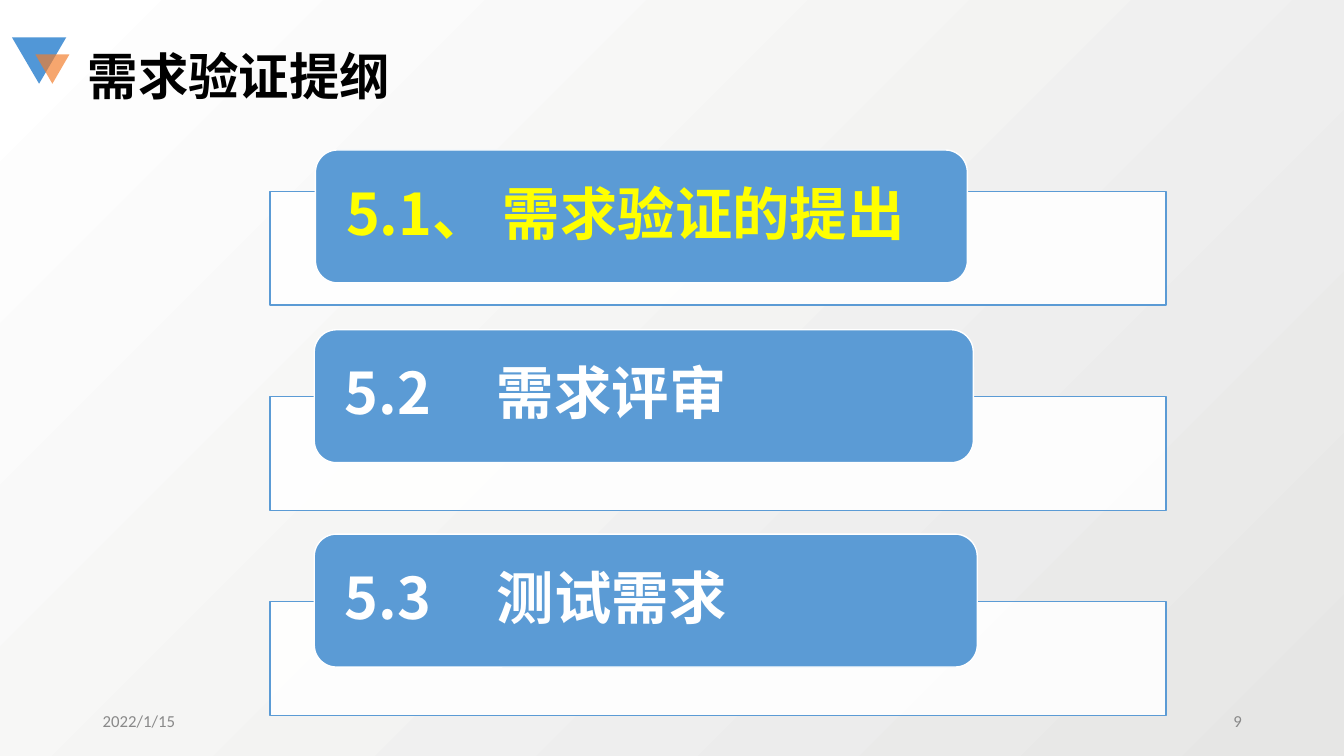
"""Build the outline slide for requirements verification."""
from lxml import etree
from pptx import Presentation
from pptx.dml.color import RGBColor
from pptx.enum.shapes import MSO_SHAPE
from pptx.enum.text import MSO_ANCHOR, PP_ALIGN
from pptx.oxml.ns import qn
from pptx.util import Cm, Pt

TRIANGLE = MSO_SHAPE.ISOSCELES_TRIANGLE
RECTANGLE = MSO_SHAPE.RECTANGLE
ROUNDED = MSO_SHAPE.ROUNDED_RECTANGLE
TOP, MIDDLE = MSO_ANCHOR.TOP, MSO_ANCHOR.MIDDLE
LEFT, RIGHT = PP_ALIGN.LEFT, PP_ALIGN.RIGHT
CJK, LATIN = "Noto Sans CJK SC", "Calibri"
BLUE, WHITE, YELLOW, GREY = "5B9BD5", "FFFFFF", "FFFF00", "898989"


def color(value):
    return RGBColor.from_string(value)


class SlideBuilder:
    def __init__(self, page):
        self.page = page

    def background(self, start, end, angle):
        fill = self.page.background.fill
        fill.gradient()
        fill.gradient_angle = angle
        for stop, value, position in zip(fill.gradient_stops, (start, end), (0, 1)):
            stop.color.rgb = color(value)
            stop.position = position

    def shape(self, kind, left, top, width, height, fill, line=None, opacity=100, rotation=0):
        shape = self.page.shapes.add_shape(kind, Cm(left), Cm(top), Cm(width), Cm(height))
        shape.shadow.inherit = False
        shape.rotation = rotation
        shape.fill.solid()
        shape.fill.fore_color.rgb = color(fill)
        if opacity < 100:
            value = shape.fill._xPr.find(qn("a:solidFill"))[0]
            etree.SubElement(value, qn("a:alpha"), val=str(opacity * 1000))
        if line:
            shape.line.color.rgb = color(line)
            shape.line.width = Pt(1)
        else:
            shape.line.fill.background()
        return shape

    def set_text(self, shape, text, size, fill, font=CJK, bold=False, align=LEFT,
                 anchor=MIDDLE, tab=None, spacing=None):
        frame = shape.text_frame
        frame.word_wrap = True
        frame.vertical_anchor = anchor
        para = frame.paragraphs[0]
        para.text = text
        para.alignment = align
        para.line_spacing = spacing
        properties = para._p.get_or_add_pPr()
        if tab:
            tabs = etree.SubElement(properties, qn("a:tabLst"))
            etree.SubElement(tabs, qn("a:tab"), pos=str(Cm(tab)), algn="l")
        para.font.size = Pt(size)
        para.font.bold = bold
        para.font.color.rgb = color(fill)
        para.font.name = font
        etree.SubElement(properties.find(qn("a:defRPr")), qn("a:ea"), typeface=font)

    def label(self, left, top, width, height, text, size, fill, **style):
        box = self.page.shapes.add_textbox(Cm(left), Cm(top), Cm(width), Cm(height))
        self.set_text(box, text, size, fill, **style)

    def section(self, panel_top, card_left, card_top, card_width, text, fill):
        self.shape(RECTANGLE, 6.81, panel_top, 22.58, 2.87, WHITE, BLUE, opacity=90)
        card = self.shape(ROUNDED, card_left, card_top, card_width, 3.35, BLUE, WHITE)
        frame = card.text_frame
        frame.margin_left = frame.margin_right = Cm(0.61)
        frame.margin_top = frame.margin_bottom = 0
        self.set_text(card, text, 41, fill, bold=True, tab=3.83, spacing=0.9)


def main():
    deck = Presentation()
    deck.slide_width, deck.slide_height = Cm(33.87), Cm(19.05)
    builder = SlideBuilder(deck.slides.add_slide(deck.slide_layouts[6]))
    builder.background("E6E6E5", WHITE, 135)
    builder.shape(TRIANGLE, 0.3, 0.94, 1.37, 1.17, "5197D7", rotation=180)
    builder.shape(TRIANGLE, 0.89, 1.37, 0.86, 0.74, "F37D2A", opacity=68, rotation=180)
    builder.label(1.96, 1.02, 12.98, 1.8, "需求验证提纲", 36, "000000", bold=True, anchor=TOP)
    builder.label(2.34, 17.65, 7.62, 1.02, "2022/1/15", 12, GREY, font=LATIN)
    builder.label(23.93, 17.65, 7.62, 1.02, "9", 12, GREY, font=LATIN, align=RIGHT)
    sections = [
        (7.95, 3.78, 16.43, "5.1、 需求验证的提出", YELLOW),
        (7.92, 8.31, 16.61, "5.2\t需求评审", WHITE),
        (7.92, 13.46, 16.71, "5.3\t测试需求", WHITE),
    ]
    for index, section in enumerate(sections):
        builder.section(4.82 + 5.17 * index, *section)
    deck.save("out.pptx")


if __name__ == "__main__":
    main()
